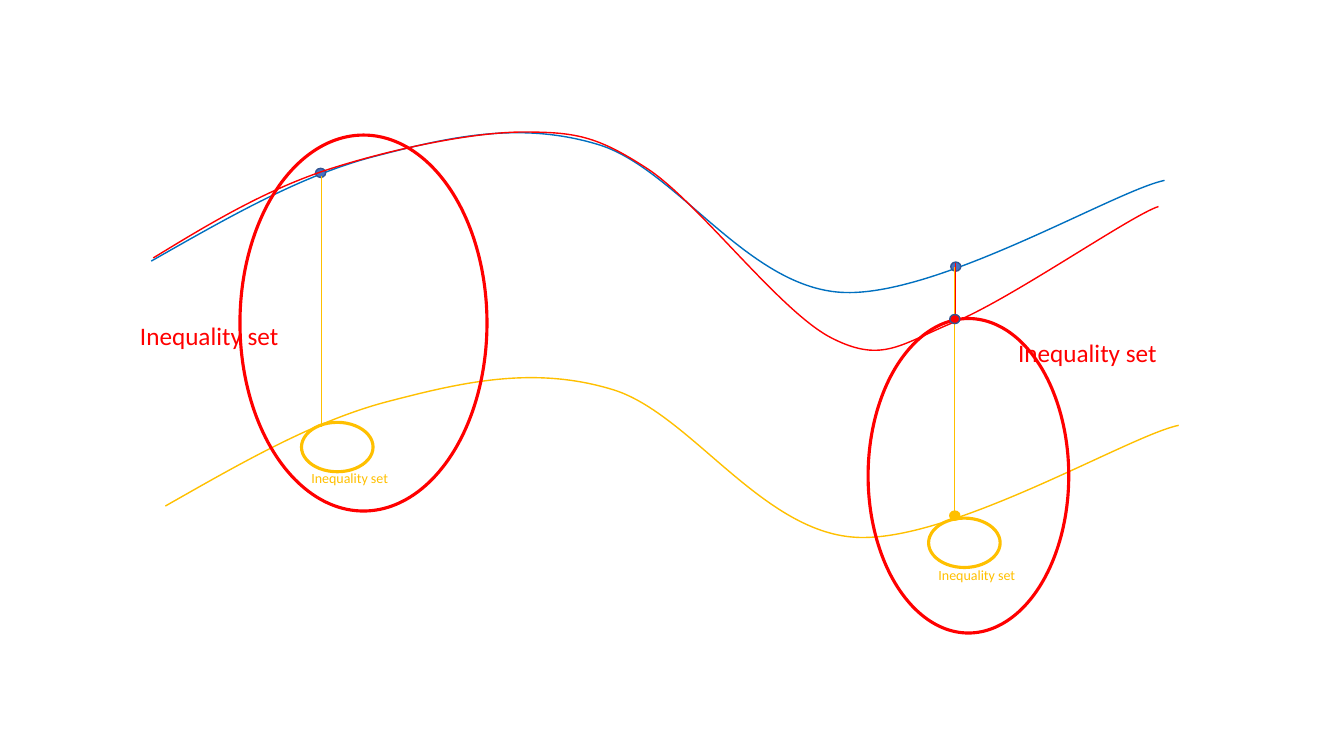
"""Draw three curves with the inequality sets below two of their points."""
from dataclasses import dataclass

from lxml.etree import SubElement
from pptx import Presentation
from pptx.dml.color import RGBColor
from pptx.enum.shapes import MSO_CONNECTOR, MSO_SHAPE
from pptx.enum.text import MSO_AUTO_SIZE
from pptx.oxml.ns import qn
from pptx.slide import Slide
from pptx.util import Emu, Pt

SCALE = 9144
FONT = "Calibri"
BLUE = RGBColor(0x00, 0x70, 0xC0)
DOT = RGBColor(0x44, 0x72, 0xC4)
NAVY = RGBColor(0x32, 0x54, 0x91)
GOLD = RGBColor(0xFF, 0xC0, 0x00)
RED = RGBColor(0xFF, 0x00, 0x00)

Point = tuple[int, int]


@dataclass(frozen=True)
class Curve:
    """Joined cubic pieces: a start, then two handles and an end for each."""
    points: list[Point]
    top: int
    height: int
    color: RGBColor


@dataclass(frozen=True)
class Oval:
    """An ellipse, hollow when it has no fill."""
    left: int
    top: int
    width: int
    height: int
    line: RGBColor
    fill: RGBColor | None = None


@dataclass(frozen=True)
class Stem:
    """A thin upright line."""
    x: int
    top: int
    bottom: int
    color: RGBColor


@dataclass(frozen=True)
class Label:
    """The name of a set."""
    left: int
    top: int
    width: int
    height: int
    size: int
    color: RGBColor
    text: str = "Inequality set"


Item = Curve | Oval | Stem | Label


def px(count: int) -> Emu:
    """Turn px into EMU."""
    return Emu(count * SCALE)


def shift(points: list[Point], right: int, down: int) -> list[Point]:
    """Move every point by the same step."""
    return [(x + right, y + down) for x, y in points]


def dot(left: int, top: int, fill: RGBColor, line: RGBColor = NAVY) -> Oval:
    """Make a small filled marker."""
    return Oval(left, top, 10, 9, line, fill)


def ring(left: int, top: int) -> Oval:
    """Make a small gold set."""
    return Oval(left, top, 71, 49, GOLD)


def large(left: int, top: int) -> Label:
    """Make a label for a red set."""
    return Label(left, top, 180, 40, 18, RED)


def small(left: int, top: int) -> Label:
    """Make a label for a gold set."""
    return Label(left, top, 100, 27, 10, GOLD)


def draw_curve(slide: Slide, curve: Curve) -> None:
    """Draw an open outline of cubic pieces, boxed by its visible extent."""
    start, *rest = [(px(x), px(y)) for x, y in curve.points]
    pen = slide.shapes.build_freeform(*start)
    pen.add_line_segments(rest, close=False)
    shape = pen.convert_to_shape()
    outline = next(shape._element.iter(qn("a:path")))
    drop = px(curve.top) - shape.top
    for point in outline.iter(qn("a:pt")):
        point.set("y", str(int(point.get("y")) - drop))
    sides = outline.findall(qn("a:lnTo"))
    for first in range(0, len(sides), 3):
        cubic = SubElement(outline, qn("a:cubicBezTo"))
        for side in sides[first:first + 3]:
            cubic.append(side[0])
            outline.remove(side)
    shape.top, shape.height = px(curve.top), px(curve.height)
    outline.set("h", str(shape.height))
    shape.shadow.inherit = False
    shape.fill.background()
    shape.line.color.rgb = curve.color
    shape.line.width = Pt(1)


def draw_oval(slide: Slide, oval: Oval) -> None:
    """Draw an ellipse."""
    shape = slide.shapes.add_shape(
        MSO_SHAPE.OVAL, px(oval.left), px(oval.top), px(oval.width), px(oval.height))
    shape.shadow.inherit = False
    shape.line.color.rgb = oval.line
    if oval.fill is None:
        shape.fill.background()
        shape.line.width = Pt(2.25)
    else:
        shape.fill.solid()
        shape.fill.fore_color.rgb = oval.fill
        shape.line.width = Pt(1)


def draw_stem(slide: Slide, stem: Stem) -> None:
    """Draw a line between two curves."""
    line = slide.shapes.add_connector(
        MSO_CONNECTOR.STRAIGHT, px(stem.x), px(stem.top), px(stem.x), px(stem.bottom))
    line.line.color.rgb = stem.color
    line.line.width = Pt(0.5)
    SubElement(line._element.spPr, qn("a:effectLst"))


def draw_label(slide: Slide, label: Label) -> None:
    """Draw a text box."""
    box = slide.shapes.add_textbox(
        px(label.left), px(label.top), px(label.width), px(label.height))
    frame = box.text_frame
    frame.word_wrap = True
    frame.auto_size = MSO_AUTO_SIZE.SHAPE_TO_FIT_TEXT
    line = frame.paragraphs[0]
    line.text = label.text
    line.font.name = FONT
    line.font.size = Pt(label.size)
    line.font.color.rgb = label.color


WAVE = [(150, 259), (224, 217), (298, 174), (372, 155), (445, 136), (515, 120),
        (592, 143), (669, 165), (740, 284), (834, 290), (928, 296), (1106, 189),
        (1155, 179)]
BEND = [(152, 256), (206, 223), (259, 191), (320, 170), (380, 150), (462, 132),
        (516, 131), (570, 131), (591, 134), (643, 168), (694, 202), (775, 311),
        (826, 336), (876, 361), (894, 341), (948, 319), (1002, 297), (1123, 213),
        (1149, 205)]

ITEMS: list[Item] = [
    Curve(WAVE, 132, 159, BLUE),
    Curve(shift(WAVE, 14, 243), 375, 159, GOLD),
    Oval(238, 134, 245, 373, RED),
    Oval(861, 316, 199, 312, RED),
    dot(313, 167, DOT),
    dot(943, 260, DOT),
    Stem(948, 261, 321, RED),
    ring(921, 514),
    Stem(947, 265, 514, GOLD),
    Curve(BEND, 131, 216, RED),
    dot(942, 312, RED),
    dot(942, 507, GOLD, GOLD),
    large(129, 313),
    large(1000, 330),
    small(921, 557),
    ring(299, 419),
    small(299, 461),
    Stem(319, 175, 424, GOLD),
]

DRAW = {Curve: draw_curve, Oval: draw_oval, Stem: draw_stem, Label: draw_label}


def main() -> None:
    """Build and save the deck."""
    deck = Presentation()
    deck.slide_width, deck.slide_height = px(1333), px(750)
    slide = deck.slides.add_slide(deck.slide_layouts[6])
    for item in ITEMS:
        DRAW[type(item)](slide, item)
    deck.save("out.pptx")


if __name__ == "__main__":
    main()
